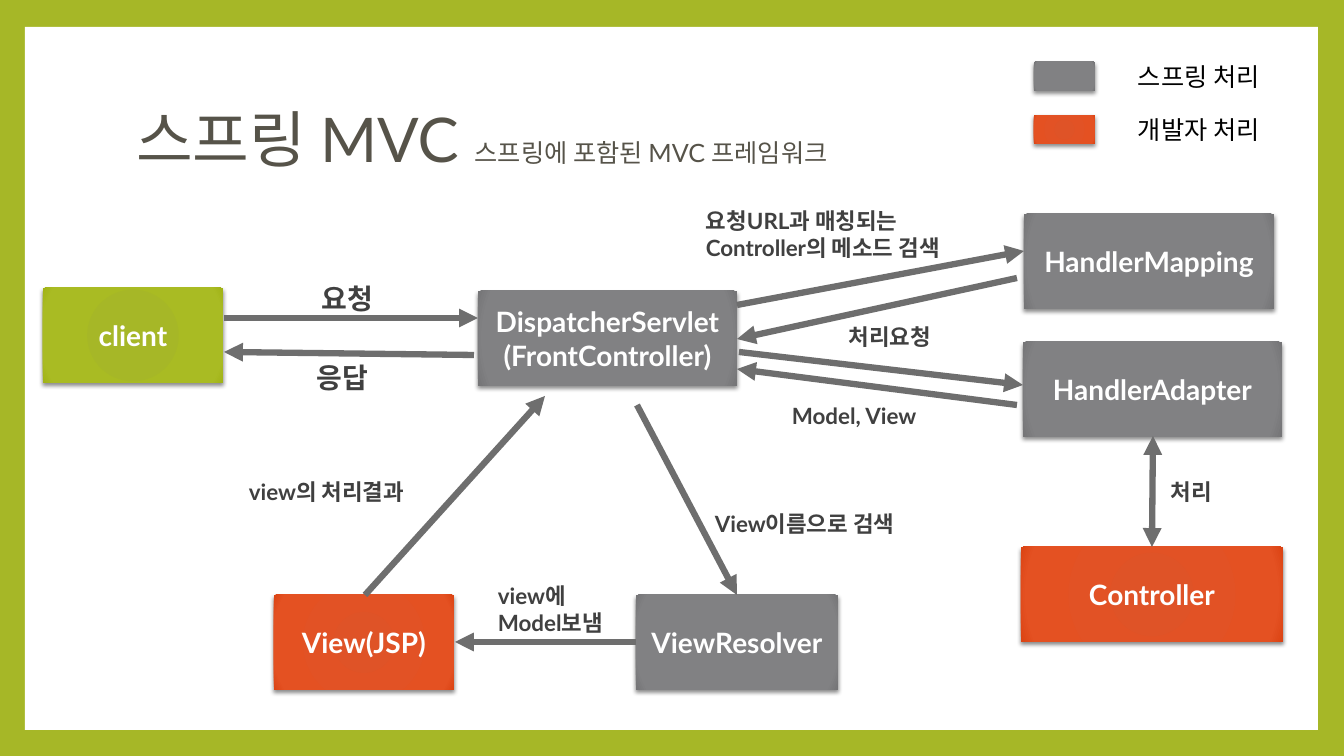
"""Build the Spring MVC request flow slide."""
from lxml import etree
from pptx import Presentation
from pptx.dml.color import RGBColor
from pptx.enum.shapes import MSO_CONNECTOR, MSO_SHAPE
from pptx.enum.text import MSO_ANCHOR, MSO_AUTO_SIZE, PP_ALIGN
from pptx.oxml import parse_xml
from pptx.oxml.ns import qn
from pptx.util import Pt

RECTANGLE, STRAIGHT = MSO_SHAPE.RECTANGLE, MSO_CONNECTOR.STRAIGHT
MIDDLE, TOP = MSO_ANCHOR.MIDDLE, MSO_ANCHOR.TOP
LEFT, CENTER = PP_ALIGN.LEFT, PP_ALIGN.CENTER
FIT_SHAPE, NO_FIT = MSO_AUTO_SIZE.SHAPE_TO_FIT_TEXT, MSO_AUTO_SIZE.NONE

PIXEL = 914400 / 100.8
FONT = "Lato"
NAMESPACE = "http://schemas.openxmlformats.org/drawingml/2006/main"
COLORS = {"frame": "A6B727", "panel": "FFFFFF", "title": "565349", "node": "FFFFFF",
          "label": "404040", "legend": "000000", "arrow": "6E6E6E"}
GRADIENTS = {"client": ("A6B727", "A9BB23", "A1B316"),
             "spring": ("818183", "818183", "757577"),
             "developer": ("DF5327", "E45122", "DB4313")}

PANEL = (25, 27, 1293, 703)
TITLE_AREA = (126, 68, 1089, 149)
TITLE = [("스프링 MVC ", 44), ("스프링에 포함된 MVC 프레임워크", 18)]

NODE_HEIGHT = 95
NODES = [
    ("client", "client", 43, 288, 180),
    ("DispatcherServlet\n(FrontController)", "spring", 478, 291, 259),
    ("HandlerMapping", "spring", 1024, 214, 250),
    ("HandlerAdapter", "spring", 1023, 342, 259),
    ("Controller", "developer", 1021, 547, 262),
    ("ViewResolver", "spring", 636, 595, 202),
    ("View(JSP)", "developer", 274, 595, 180),
]
LEGEND = [("스프링 처리", "spring"), ("개발자 처리", "developer")]
LEGEND_TOP, LEGEND_STEP = 62, 53

ARROWS = [
    ((224, 318), (478, 318), False),
    ((737, 305), (1024, 251), False),
    ((739, 352), (1023, 385), False),
    ((1153, 436), (1152, 547), True),
    ((1017, 405), (737, 369), False),
    ((637, 405), (737, 595), False),
    ((636, 642), (455, 642), False),
    ((365, 595), (545, 396), False),
    ((474, 355), (224, 352), False),
    ((1017, 278), (737, 339), False),
]
LABELS = [
    ("요청", 20, (312, 277, 77, 44)),
    ("요청URL과 매칭되는\nController의 메소드 검색", 16, (696, 202, 279, 64)),
    ("처리요청", 16, (839, 318, 111, 37)),
    ("처리", 16, (1161, 473, 66, 37)),
    ("Model, View", 16, (782, 397, 154, 37)),
    ("View이름으로 검색", 16, (705, 505, 216, 37)),
    ("view에\nModel보냄", 16, (488, 577, 134, 64)),
    ("view의 처리결과", 16, (239, 473, 191, 37)),
    ("응답", 20, (307, 356, 77, 44)),
]


def scale(pixels):
    """Turn pixel lengths into EMU."""
    return [round(value * PIXEL) for value in pixels]


def write(shape, text, size=16, color="label", bold=False, align=LEFT,
          anchor=TOP, wrap=False, fit=FIT_SHAPE, spacing=None):
    """Fill a shape with text given as a string or as (text, size) runs."""
    frame = shape.text_frame
    frame.word_wrap, frame.auto_size, frame.vertical_anchor = wrap, fit, anchor
    lines = [[(line, size)] for line in text.split("\n")] if isinstance(text, str) else [text]
    for index, runs in enumerate(lines):
        paragraph = frame.add_paragraph() if index else frame.paragraphs[0]
        paragraph.alignment = align
        paragraph.line_spacing = spacing
        for words, points in runs:
            run = paragraph.add_run()
            run.text = words
            run.font.name, run.font.size, run.font.bold = FONT, Pt(points), bold
            run.font.color.rgb = RGBColor.from_string(COLORS[color])


def add_box(slide, area, gradient):
    """Add a shaded rectangle with a soft shadow below it."""
    box = slide.shapes.add_shape(RECTANGLE, *scale(area))
    box.line.fill.background()
    stops = "".join(f'<a:gs pos="{place}"><a:srgbClr val="{color}"/></a:gs>'
                    for place, color in zip((0, 90000, 100000), GRADIENTS[gradient]))
    fill = parse_xml(
        f'<a:gradFill xmlns:a="{NAMESPACE}" rotWithShape="1"><a:gsLst>{stops}</a:gsLst>'
        '<a:path path="circle"><a:fillToRect l="100000" t="100000" r="100000" b="100000"/>'
        '</a:path></a:gradFill>')
    shadow = parse_xml(
        f'<a:effectLst xmlns:a="{NAMESPACE}"><a:outerShdw blurRad="{Pt(3)}" dist="{Pt(2)}" '
        'dir="5400000" rotWithShape="0"><a:srgbClr val="000000"><a:alpha val="45000"/>'
        '</a:srgbClr></a:outerShdw></a:effectLst>')
    properties = box.element.spPr
    properties.find(qn("a:ln")).addprevious(fill)
    properties.append(shadow)
    return box


def add_arrow(slide, start, end, both):
    """Add a straight arrow, with a second head at its start if both is set."""
    arrow = slide.shapes.add_connector(STRAIGHT, *scale(start + end))
    arrow.line.width = Pt(4.5)
    arrow.line.color.rgb = RGBColor.from_string(COLORS["arrow"])
    properties = arrow.element.spPr
    for tag in ("a:headEnd", "a:tailEnd") if both else ("a:tailEnd",):
        etree.SubElement(properties.find(qn("a:ln")), qn(tag), type="triangle")
    etree.SubElement(properties, qn("a:effectLst"))


presentation = Presentation()
presentation.slide_width, presentation.slide_height = scale((1344, 756))
slide = presentation.slides.add_slide(presentation.slide_layouts[5])
slide.background.fill.solid()
slide.background.fill.fore_color.rgb = RGBColor.from_string(COLORS["frame"])

panel = slide.shapes.add_shape(RECTANGLE, *scale(PANEL))
panel.shadow.inherit = False
panel.fill.solid()
panel.fill.fore_color.rgb = RGBColor.from_string(COLORS["panel"])
panel.line.fill.background()

title = slide.shapes.title
title.element.addprevious(panel.element)
title.left, title.top, title.width, title.height = scale(TITLE_AREA)
write(title, TITLE, color="title", anchor=MIDDLE, wrap=True, fit=NO_FIT, spacing=0.9)

for name, gradient, left, top, width in NODES:
    node = add_box(slide, (left, top, width, NODE_HEIGHT), gradient)
    write(node, name, size=20, color="node", bold=True, align=CENTER,
          anchor=MIDDLE, wrap=True, fit=NO_FIT)

for row, (meaning, gradient) in enumerate(LEGEND):
    top = LEGEND_TOP + row * LEGEND_STEP
    add_box(slide, (1034, top, 61, 29), gradient)
    legend = slide.shapes.add_textbox(*scale((1128, top - 6, 156, 40)))
    write(legend, meaning, size=18, color="legend")

for start, end, both in ARROWS:
    add_arrow(slide, start, end, both)

for text, size, area in LABELS:
    write(slide.shapes.add_textbox(*scale(area)), text, size=size, bold=True)

presentation.save("out.pptx")
